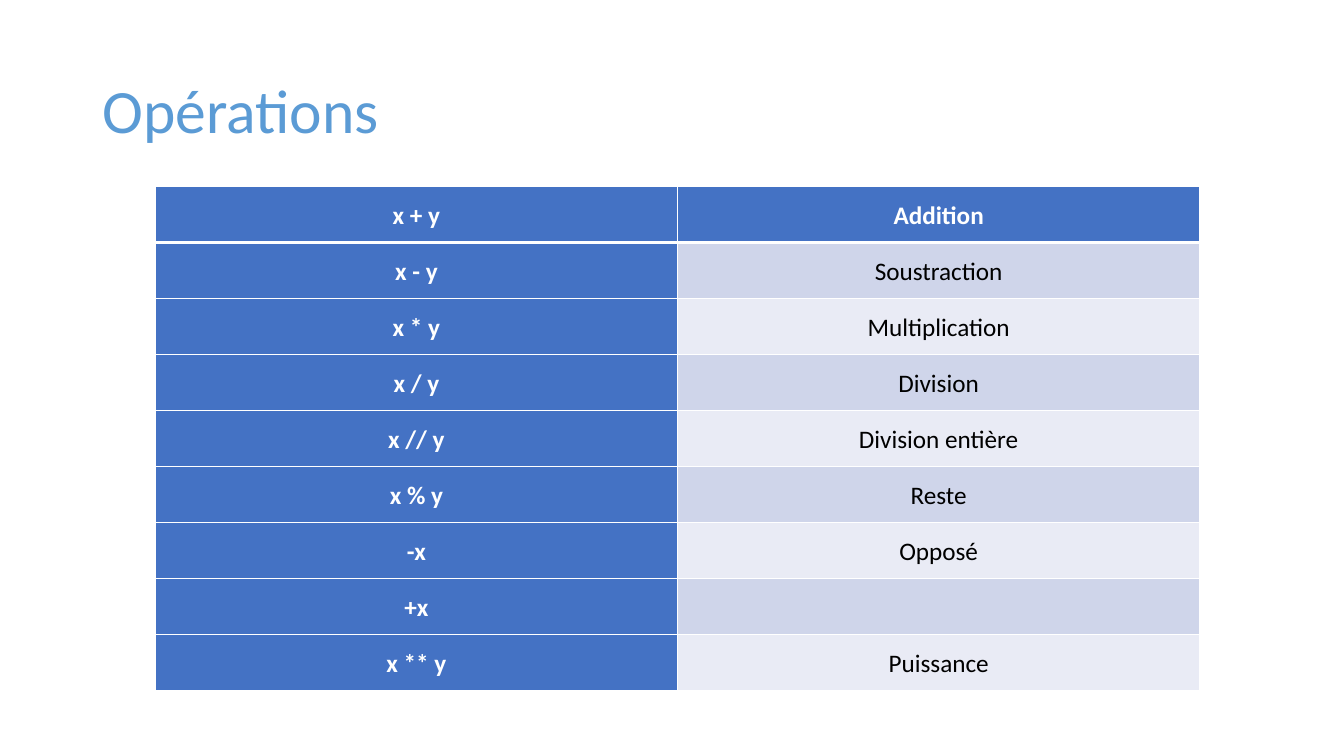
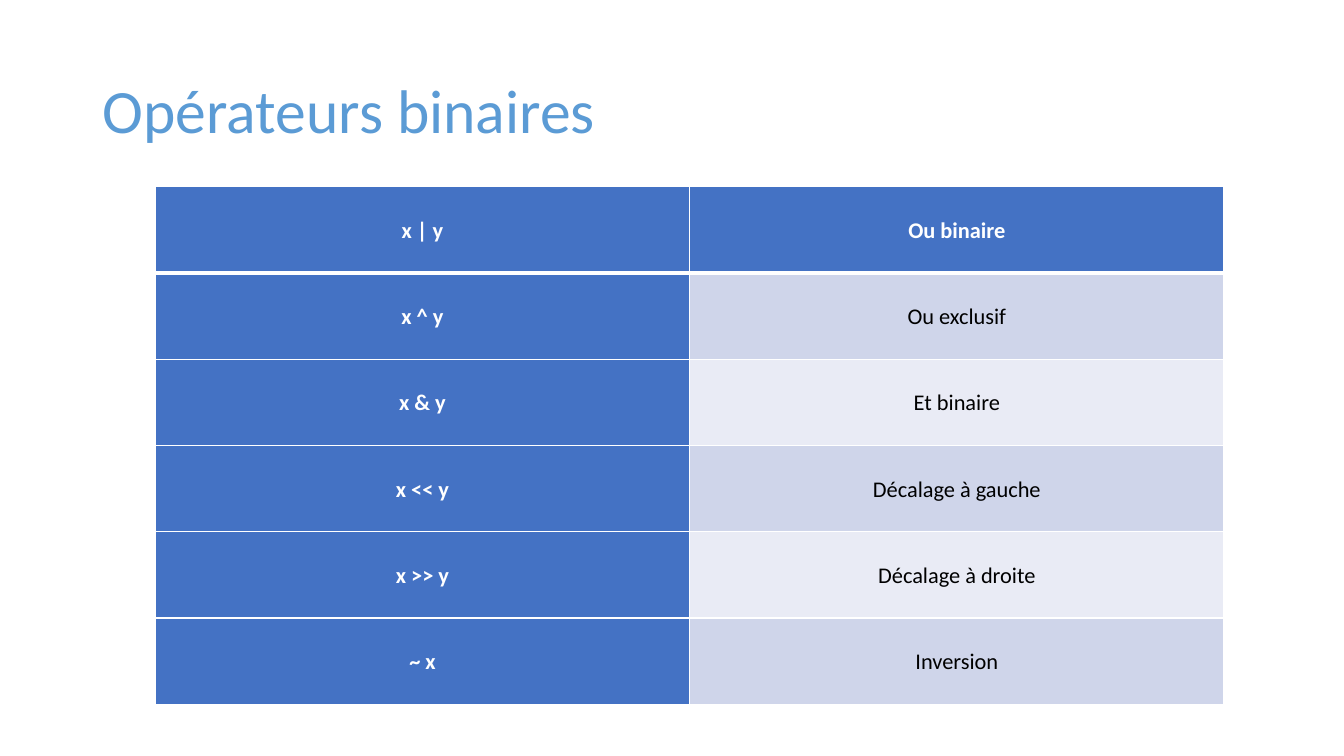
from lxml import etree
from pptx import Presentation
from pptx.dml.color import RGBColor
from pptx.enum.text import MSO_ANCHOR, PP_ALIGN
from pptx.oxml.ns import qn
from pptx.util import Inches, Pt

MIDDLE = MSO_ANCHOR.MIDDLE
CENTER = PP_ALIGN.CENTER
FONT = "Calibri"
COLORS = {
    "title": "5B9BD5",
    "head": "4472C4",
    "odd": "CFD5EA",
    "even": "E9EBF5",
    "light": "FFFFFF",
    "dark": "000000",
}


class Deck:
    """Holds the shared style and the current slide."""

    def __init__(self):
        """Start an empty wide deck."""
        self.prs = Presentation()
        self.prs.slide_width = Inches(13.33)
        self.prs.slide_height = Inches(7.5)
        self.slide = None

    def add(self, title):
        """Add a blank slide with its title."""
        self.slide = self.prs.slides.add_slide(self.prs.slide_layouts[6])
        box = self.slide.shapes.add_textbox(
            Inches(0.92), Inches(0.4), Inches(11.5), Inches(1.45))
        frame = box.text_frame
        frame.word_wrap = True
        frame.vertical_anchor = MIDDLE
        self.label(frame, title, 44, "title", spacing=0.9)

    def label(self, frame, text, size, color, bold=False, spacing=1.07):
        """Fill a text frame with one styled paragraph."""
        frame.text = text
        para = frame.paragraphs[0]
        para.line_spacing = spacing
        for run in para.runs:
            font = run.font
            font.name = FONT
            font.size = Pt(size)
            font.bold = bold
            font.color.rgb = RGBColor.from_string(COLORS[color])
        return para

    def border(self, cell, side, width):
        """Draw one white cell edge."""
        props = cell._tc.get_or_add_tcPr()
        line = etree.SubElement(props, qn("a:" + side), w=str(Pt(width)))
        fill = etree.SubElement(line, qn("a:solidFill"))
        etree.SubElement(fill, qn("a:srgbClr"), val=COLORS["light"])

    def cell(self, cell, text, size, row, col):
        """Style one cell by its place in the table."""
        head = row == 0 or col == 0
        cell.vertical_anchor = MIDDLE
        cell.margin_left = cell.margin_right = Inches(0.08)
        cell.margin_top = cell.margin_bottom = 0
        color = "light" if head else "dark"
        para = self.label(cell.text_frame, text, size, color, head)
        para.alignment = CENTER
        for side in ("lnL", "lnR", "lnT", "lnB"):
            thick = (row, side) in ((0, "lnB"), (1, "lnT"))
            self.border(cell, side, 3 if thick else 1)
        band = "head" if head else "odd" if row % 2 else "even"
        cell.fill.solid()
        cell.fill.fore_color.rgb = RGBColor.from_string(COLORS[band])

    def table(self, rows, width, height, size):
        """Add a table with even rows and columns."""
        count = len(rows[0])
        frame = self.slide.shapes.add_table(
            len(rows), count, Inches(1.54), Inches(1.85),
            Inches(width), Inches(height))
        table = frame.table
        table.first_col = True
        for r, row in enumerate(rows):
            for c, text in enumerate(row):
                self.cell(table.cell(r, c), text, size, r, c)


MATH = [
    ("x + y", "Addition"),
    ("x - y", "Soustraction"),
    ("x * y", "Multiplication"),
    ("x / y", "Division"),
    ("x // y", "Division entière"),
    ("x % y", "Reste"),
    ("-x", "Opposé"),
    ("+x", ""),
    ("x ** y", "Puissance"),
]
BITS = [
    ("x | y", "Ou binaire"),
    ("x ^ y", "Ou exclusif"),
    ("x & y", "Et binaire"),
    ("x << y", "Décalage à gauche"),
    ("x >> y", "Décalage à droite"),
    ("~ x", "Inversion"),
]

deck = Deck()
deck.add("Opérations")
deck.table(MATH, 10.36, 5, 18)
deck.add("Opérateurs binaires")
deck.table(BITS, 10.6, 5.14, 16)
deck.prs.save("out.pptx")
